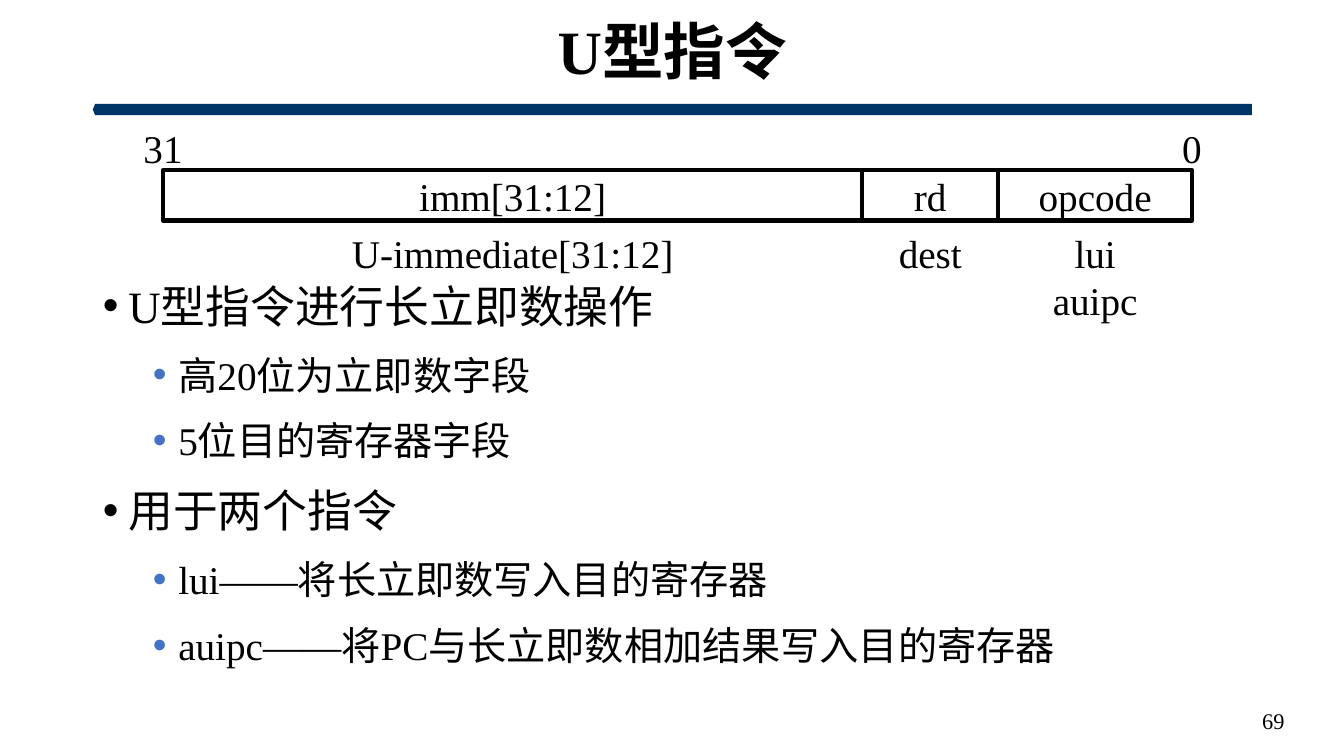
from lxml.etree import SubElement
from pptx import Presentation
from pptx.dml.color import RGBColor
from pptx.enum.shapes import MSO_SHAPE
from pptx.enum.text import MSO_ANCHOR, MSO_AUTO_SIZE, PP_ALIGN
from pptx.oxml.ns import qn
from pptx.util import Cm, Pt

# Content
TITLE = "U型指令"
PAGE = "69"
FIELDS = [  # name, width in cm, lines below
    ("imm[31:12]", 17.62, ["U-immediate[31:12]"]),
    ("rd", 3.43, ["dest"]),
    ("opcode", 4.88, ["lui", "auipc"]),
]
BULLETS = [  # level, text
    (0, "U型指令进行长立即数操作"),
    (1, "高20位为立即数字段"),
    (1, "5位目的寄存器字段"),
    (0, "用于两个指令"),
    (1, "lui——将长立即数写入目的寄存器"),
    (1, "auipc——将PC与长立即数相加结果写入目的寄存器"),
]
LEVELS = [  # size, space before, left margin in cm, bullet colour
    (32, 10, 0.64, "000000"),
    (28, 5, 1.9, "4472C4"),
]

# Layout in cm
LEFT, WIDTH = 2.34, 29.21
ROW_LEFT, ROW_TOP, ROW_H = 4.11, 4.29, 1.27
HANG = 0.64


def color(hex_text):
    return RGBColor.from_string(hex_text)


def style(p, size, align=None, bold=False):
    p.alignment = align
    for r in p.runs:
        r.font.name = "Times New Roman"
        r.font.size = Pt(size)
        r.font.bold = bold
        r.font.color.rgb = color("000000")


def place(s, left, top, width, height):
    s.left, s.top, s.width, s.height = Cm(left), Cm(top), Cm(width), Cm(height)


def fill_text(s, lines, size=28, align=PP_ALIGN.CENTER, anchor=MSO_ANCHOR.TOP):
    tf = s.text_frame
    tf.word_wrap = True
    tf.vertical_anchor = anchor
    tf.text = "\n".join(lines)
    for p in tf.paragraphs:
        style(p, size, align)


def add_label(lines, left, top, width, height, **options):
    s = slide.shapes.add_textbox(Cm(left), Cm(top), Cm(width), Cm(height))
    fill_text(s, lines, **options)


def add_bullet(p, margin, hex_text):
    pPr = p._p.get_or_add_pPr()
    pPr.set("marL", str(Cm(margin)))
    pPr.set("indent", str(-Cm(HANG)))
    bu_color = SubElement(pPr, qn("a:buClr"))
    SubElement(bu_color, qn("a:srgbClr"), val=hex_text)
    SubElement(pPr, qn("a:buFont"), typeface="Arial")
    SubElement(pPr, qn("a:buChar"), char="•")


prs = Presentation()
prs.slide_width, prs.slide_height = Cm(33.87), Cm(19.05)
slide = prs.slides.add_slide(prs.slide_layouts[1])

# Title
title = slide.shapes.title
place(title, LEFT, 0.33, WIDTH, 2.08)
tf = title.text_frame
tf.text = TITLE
tf.vertical_anchor = MSO_ANCHOR.MIDDLE
tf.auto_size = MSO_AUTO_SIZE.NONE
style(tf.paragraphs[0], 44, PP_ALIGN.CENTER, bold=True)
tf.paragraphs[0].line_spacing = 0.9

# Rule under the title, pointing left
rule = slide.shapes.add_shape(
    MSO_SHAPE.PENTAGON, Cm(LEFT), Cm(2.62), Cm(WIDTH), Cm(0.28))
rule.adjustments[0] = 0.2
rule.rotation = 180
rule.shadow.inherit = False
rule.fill.solid()
rule.fill.fore_color.rgb = color("003366")
rule.line.fill.background()

# Bullet list
body = slide.placeholders[1]
place(body, LEFT, 6.76, WIDTH, 10.4)
tf = body.text_frame
tf.text = "\n".join(text for _, text in BULLETS)
tf.vertical_anchor = MSO_ANCHOR.TOP
tf.auto_size = MSO_AUTO_SIZE.NONE
for i, (p, (level, _)) in enumerate(zip(tf.paragraphs, BULLETS)):
    size, before, margin, bullet_color = LEVELS[level]
    p.level = level
    add_bullet(p, margin, bullet_color)
    style(p, size, PP_ALIGN.LEFT)
    p.line_spacing = Pt(42)
    p.space_before = Pt(before if i else 0)

# Instruction format: fields with their meanings below
x = ROW_LEFT
for name, width, meanings in FIELDS:
    box = slide.shapes.add_shape(
        MSO_SHAPE.RECTANGLE, Cm(x), Cm(ROW_TOP), Cm(width), Cm(ROW_H))
    box.shadow.inherit = False
    box.fill.background()
    box.line.color.rgb = color("000000")
    box.line.width = Pt(3)
    fill_text(box, [name], anchor=MSO_ANCHOR.MIDDLE)
    add_label(meanings, x, 5.66, width, 0.25 + 1.19 * len(meanings))
    x += width

# Bit numbers centred on the two ends of the row
for bit, edge in (("31", ROW_LEFT), ("0", x)):
    add_label([bit], edge - 0.78, 3.02, 1.56, ROW_H)

# Page number
add_label([PAGE], 25, 17.65, 7.62, 1.02, size=16,
          align=PP_ALIGN.RIGHT, anchor=MSO_ANCHOR.MIDDLE)

prs.save("out.pptx")
